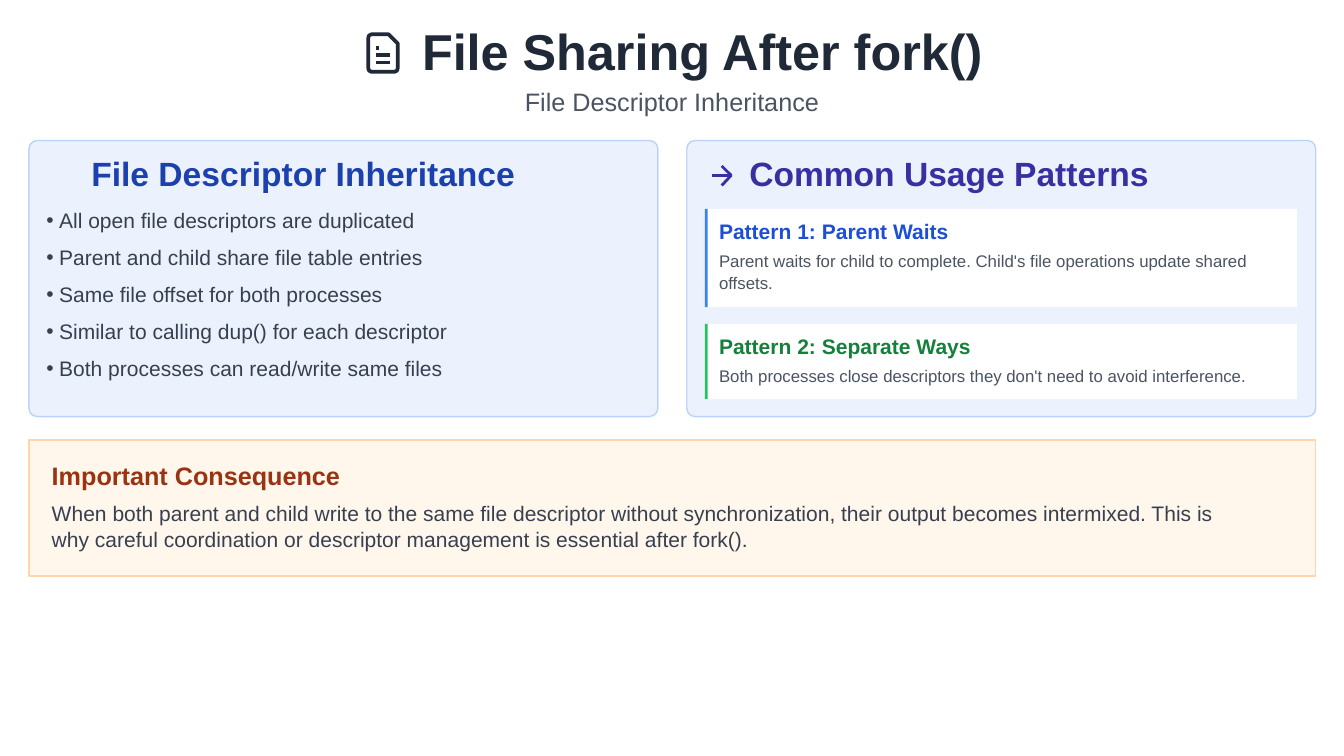
import pptx
import pptx.dml.color
import pptx.enum.shapes
import pptx.enum.text
import pptx.oxml
import pptx.oxml.ns
import pptx.util
from pptx.util import Inches, Pt

SHAPES = pptx.enum.shapes.MSO_SHAPE
INK, BODY, MUTED, BLUE = "1F2937", "374050", "4A5462", "3B81F5"


def colour(format_part, value, alpha=None):
    if hasattr(format_part, "solid"):
        format_part.solid()
        format_part = format_part.fore_color
    format_part.rgb = pptx.dml.color.RGBColor.from_string(value)
    if alpha:
        for node in format_part._xFill.iter(pptx.oxml.ns.qn("a:srgbClr")):
            child = node.makeelement(pptx.oxml.ns.qn("a:alpha"), {"val": str(alpha * 1000)})
            node.append(child)


def set_all(target, values):
    for name, value in values.items():
        setattr(target, name, value)


def place(shape, box):
    set_all(shape, dict(zip(("left", "top", "width", "height"), map(Inches, box))))


def prepare(shape, top, left=0, right=0):
    frame = shape.text_frame
    set_all(frame, {
        "word_wrap": True,
        "auto_size": pptx.enum.text.MSO_AUTO_SIZE.NONE,
        "vertical_anchor": pptx.enum.text.MSO_ANCHOR.TOP,
        "margin_left": Inches(left), "margin_right": Inches(right),
        "margin_top": Inches(top), "margin_bottom": 0,
    })
    return frame


def write(frame, text, size, ink, bold=False, before=0, spacing=1.0,
          margin=0, hanging=0, bullet=None):
    para = frame.paragraphs[0]
    if para.runs:
        para = frame.add_paragraph()
    set_all(para, {
        "alignment": pptx.enum.text.PP_ALIGN.LEFT,
        "space_before": Pt(before), "space_after": Pt(0), "line_spacing": spacing,
    })
    span = para.add_run()
    span.text = text
    set_all(span.font, {"name": "Arial", "size": Pt(size), "bold": bold})
    colour(span.font.color, ink)
    properties = para._p.get_or_add_pPr()
    properties.set("marL", str(Inches(margin)))
    properties.set("indent", str(Inches(-hanging)))
    tag = pptx.oxml.ns.qn("a:buChar" if bullet else "a:buNone")
    properties.append(properties.makeelement(tag, {"char": bullet} if bullet else {}))


def block(page, kind, box, fill, alpha=None, line=None, line_alpha=None):
    shape = page.shapes.add_shape(kind, *map(Inches, box))
    shape.shadow.inherit = False
    colour(shape.fill, fill, alpha)
    if line:
        colour(shape.line.fill, line, line_alpha)
        shape.line.width = Pt(1.5)
    else:
        shape.line.fill.background()
    return shape


def stroke_icon(page, left, top, strokes, ink, width, closed=False):
    points = [[(Inches(left + x), Inches(top + y)) for x, y in stroke] for stroke in strokes]
    builder = page.shapes.build_freeform(*points[0][0])
    for index, (start, *rest) in enumerate(points):
        if index:
            builder.move_to(*start)
        builder.add_line_segments(rest, close=closed)
    shape = builder.convert_to_shape()
    shape.shadow.inherit = False
    shape.fill.background()
    colour(shape.line.fill, ink)
    shape.line.width = Pt(width)


def text_box(page, box, top, left=0):
    return prepare(page.shapes.add_textbox(*map(Inches, box)), top, left)


def panel(page, box):
    shape = block(page, SHAPES.ROUNDED_RECTANGLE, box, BLUE, 10, BLUE, 30)
    shape.adjustments[0] = 0.03


def header(page, box):
    left, top, width, height = box
    outline = [(0.3, 0), (0.05, 0), (0.01, 0.02), (0, 0.06), (0, 0.5), (0.01, 0.54),
               (0.05, 0.56), (0.39, 0.56), (0.43, 0.54), (0.44, 0.5), (0.44, 0.14)]
    stroke_icon(page, left, top + 0.4, [outline], INK, 4, closed=True)
    rules = [[(end, y), (0, y)] for end, y in ((0.05, 0), (0.22, 0.11), (0.22, 0.22))]
    stroke_icon(page, left + 0.11, top + 0.6, rules, INK, 4)
    title = page.shapes.title
    place(title, (left + 0.79, top, width - 0.79, height))
    frame = prepare(title, 0.19)
    write(frame, "File Sharing After fork()", 54, INK, bold=True, margin=0.01)
    write(frame, "File Descriptor Inheritance", 27, MUTED, before=6.5, margin=1.54)


def inheritance(page, box, items):
    left, top, width, height = box
    panel(page, box)
    body = page.placeholders[1]
    body.element.getparent().append(body.element)
    place(body, (left + 0.25, top - 0.16, 7, 3.72))
    frame = prepare(body, 0.35)
    write(frame, "File Descriptor Inheritance", 36, "1D40AF", bold=True, margin=0.68)
    for index, item in enumerate(items):
        write(frame, item, 22.5, BODY, before=12.5 if index else 15.3,
              margin=0.2, hanging=0.19, bullet="•")


def pattern(page, box, heading, text, accent, ink, before, spacing):
    left, top, width, height = box
    block(page, SHAPES.RECTANGLE, box, "FFFFFF")
    block(page, SHAPES.RECTANGLE, (left, top, 0.04, height), accent)
    frame = text_box(page, (left + 0.04, top, width - 0.04, height), 0.14, 0.17)
    write(frame, heading, 22.5, ink, bold=True)
    write(frame, text, 18, MUTED, before=before, spacing=spacing)


def usage(page, box):
    left, top, width, height = box
    panel(page, box)
    arrow = [[(0, 0.14), (0.29, 0.14)], [(0.15, 0), (0.29, 0.14), (0.15, 0.29)]]
    stroke_icon(page, left + 0.37, top + 0.38, arrow, "372FA2", 3)
    frame = text_box(page, (left + 0.92, top + 0.18, 6.2, 0.63), 0.01)
    write(frame, "Common Usage Patterns", 36, "372FA2", bold=True, margin=0.01)
    pattern(page, (left + 0.27, top + 1.02, width - 0.55, 1.46), "Pattern 1: Parent Waits",
            "Parent waits for child to complete. Child's file operations update shared offsets.",
            BLUE, "1C4ED8", 5.1, 1.11)
    pattern(page, (left + 0.27, top + 2.73, width - 0.55, 1.12), "Pattern 2: Separate Ways",
            "Both processes close descriptors they don't need to avoid interference.",
            "21C45D", "15803C", 7.5, 1.0)


def consequence(page, box):
    shape = block(page, SHAPES.RECTANGLE, box, "FFF6EC", line="FED6AA")
    frame = prepare(shape, 0.3, 0.34, 1)
    write(frame, "Important Consequence", 27, "993312", bold=True)
    write(frame, "When both parent and child write to the same file descriptor without "
          "synchronization, their output becomes intermixed. This is why careful coordination "
          "or descriptor management is essential after fork().", 22.5, BODY, before=11.1)


def main():
    deck = pptx.Presentation()
    set_all(deck, {"slide_width": Inches(20), "slide_height": Inches(11.25)})
    page = deck.slides.add_slide(deck.slide_layouts[1])
    header(page, (5.48, 0.11, 9.17, 1.65))
    inheritance(page, (0.43, 2.09, 9.36, 4.11), [
        "All open file descriptors are duplicated",
        "Parent and child share file table entries",
        "Same file offset for both processes",
        "Similar to calling dup() for each descriptor",
        "Both processes can read/write same files",
    ])
    usage(page, (10.22, 2.09, 9.36, 4.11))
    consequence(page, (0.43, 6.55, 19.15, 2.02))
    deck.save("out.pptx")


if __name__ == "__main__":
    main()
